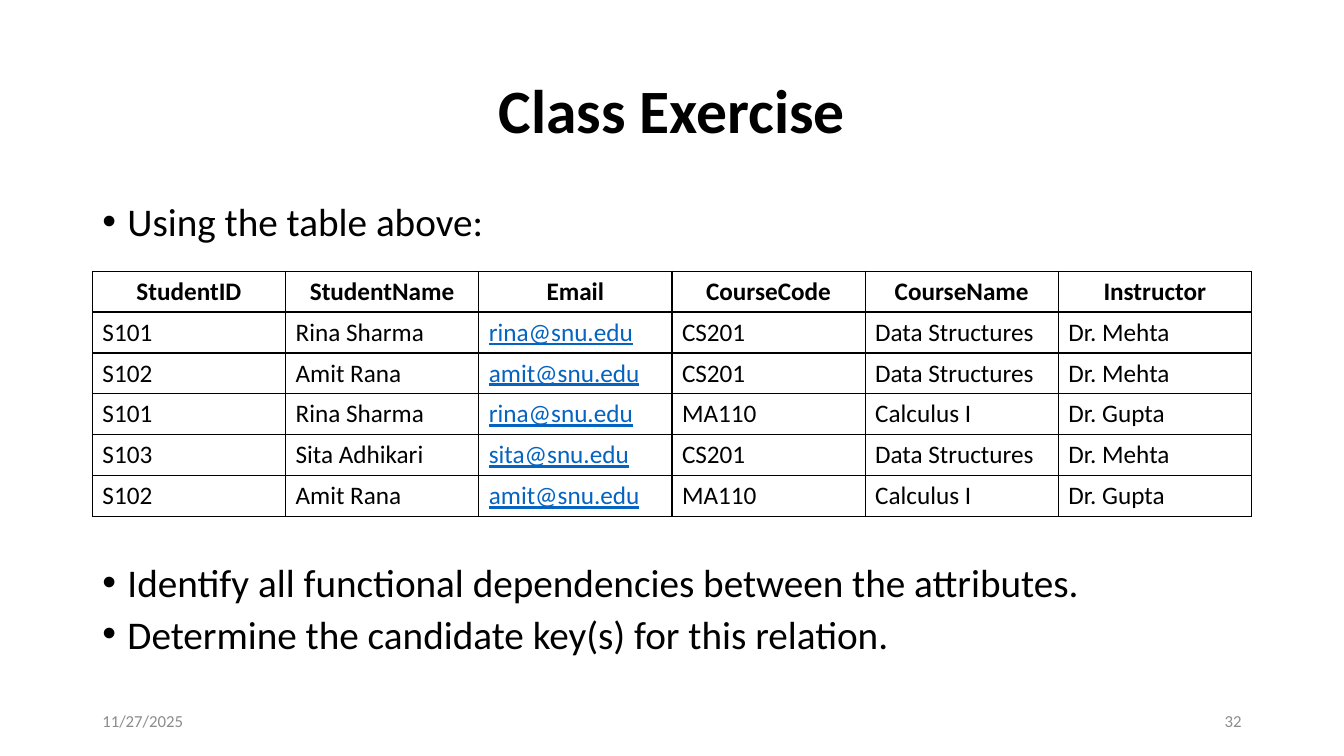
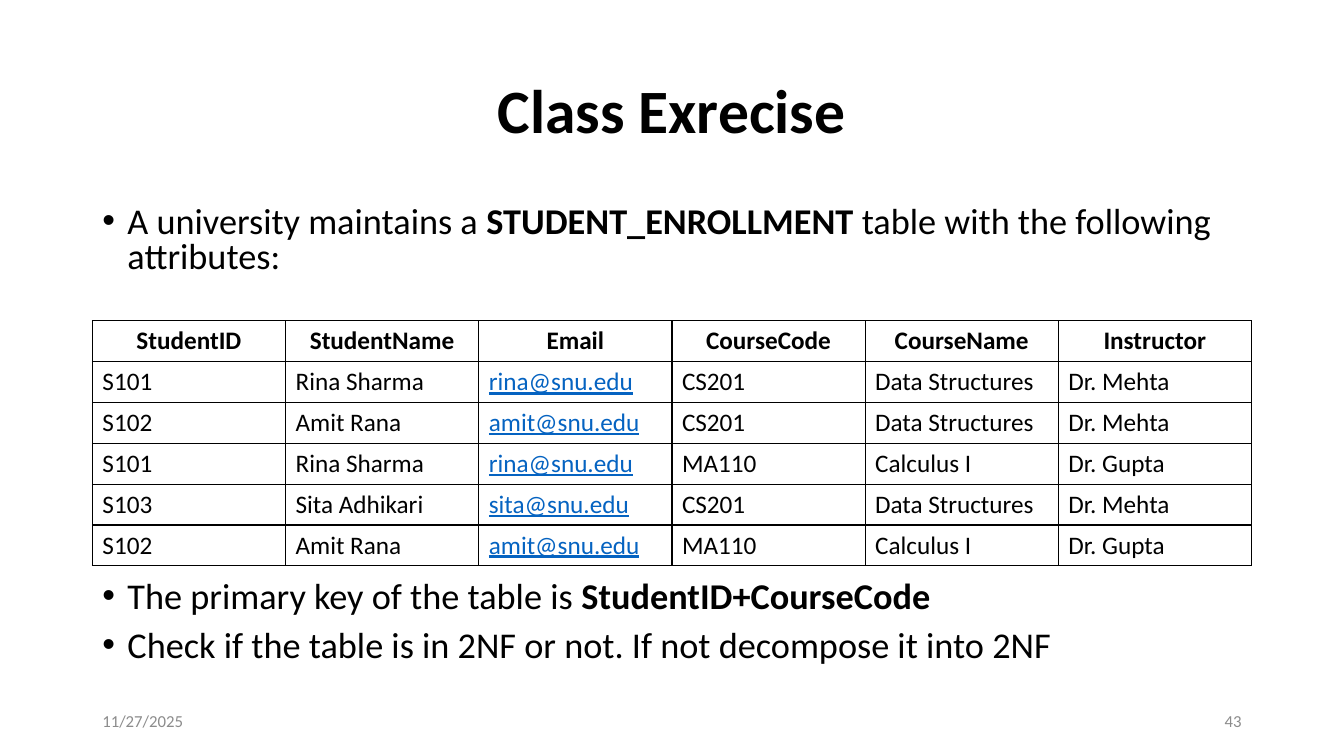
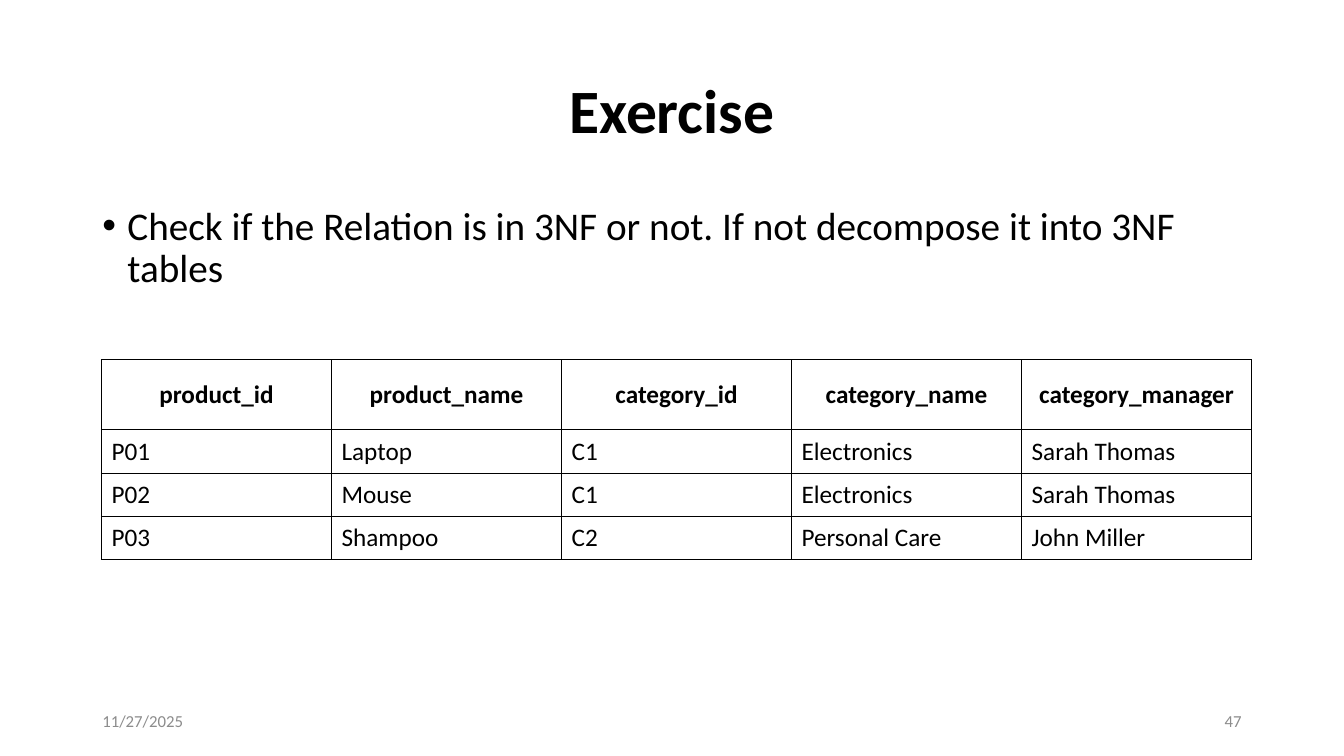
from dataclasses import dataclass

from lxml import etree
from pptx import Presentation
from pptx.dml.color import RGBColor
from pptx.enum.text import MSO_ANCHOR, PP_ALIGN
from pptx.oxml.ns import qn
from pptx.util import Pt

LEFT, CENTER, RIGHT = PP_ALIGN.LEFT, PP_ALIGN.CENTER, PP_ALIGN.RIGHT
TOP, MIDDLE = MSO_ANCHOR.TOP, MSO_ANCHOR.MIDDLE


@dataclass(frozen=True)
class Theme:
    font: str = "Calibri"
    ink: str = "000000"
    link: str = "0563C1"
    muted: str = "8C8C8C"
    title: float = 44
    body: float = 28
    body_small: float = 25.9
    cell: float = 18
    footer: float = 12
    bullet_gap: float = 10
    bullet_indent: float = 18
    border: float = 1
    margin: float = 66
    content_width: float = 828


class Deck:
    """Holds the style and the slide being built."""

    def __init__(self, theme):
        self.theme = theme
        self.prs = Presentation()
        self.prs.slide_width, self.prs.slide_height = Pt(960), Pt(540)
        self.slide = None

    def new_slide(self, title, number):
        theme = self.theme
        self.slide = self.prs.slides.add_slide(self.prs.slide_layouts[6])

        # Title
        heading = self.line(title, theme.margin, 28.8, theme.content_width, 104.4,
                            theme.title, theme.ink, CENTER, bold=True)
        heading.line_spacing = 0.9

        # Footer: date on the left, slide number on the right
        width = 216
        right = theme.margin + theme.content_width - width
        for text, left, align in (("11/27/2025", theme.margin, LEFT),
                                  (str(number), right, RIGHT)):
            self.line(text, left, 500.5, width, 28.8, theme.footer, theme.muted, align)

    def style(self, run, size, color, bold=False, underline=False):
        font = run.font
        font.name, font.size = self.theme.font, Pt(size)
        font.bold, font.underline = bold, underline
        font.color.rgb = RGBColor.from_string(color)

    def frame(self, left, top, width, height, anchor):
        box = self.slide.shapes.add_textbox(Pt(left), Pt(top), Pt(width), Pt(height))
        box.text_frame.word_wrap = True
        box.text_frame.vertical_anchor = anchor
        return box.text_frame

    def line(self, text, left, top, width, height, size, color, align, bold=False):
        frame = self.frame(left, top, width, height, MIDDLE)
        frame.text = text
        paragraph = frame.paragraphs[0]
        paragraph.alignment = align
        self.style(paragraph.runs[0], size, color, bold)
        return paragraph

    def bullets(self, items, size, spacing=0.8, table_gap=0):
        """Bulleted text; ** surrounds bold words, table_gap follows the first item."""
        theme = self.theme
        frame = self.frame(theme.margin, 144, theme.content_width, 342.6, TOP)
        gaps = [0, table_gap] + [theme.bullet_gap] * len(items)
        for index, (item, gap) in enumerate(zip(items, gaps)):
            paragraph = frame.add_paragraph() if index else frame.paragraphs[0]
            props = paragraph._p.get_or_add_pPr()
            props.set("marL", str(Pt(theme.bullet_indent)))
            props.set("indent", str(-Pt(theme.bullet_indent)))
            etree.SubElement(props, qn("a:buFont"), typeface="Arial")
            etree.SubElement(props, qn("a:buChar"), char="•")
            paragraph.line_spacing = spacing
            paragraph.space_before = Pt(gap)
            for part, text in enumerate(item.split("**")):
                if text:
                    run = paragraph.add_run()
                    run.text = text
                    self.style(run, size, theme.ink, bold=part % 2 == 1)

    def table(self, rows, left, top, width, heights):
        theme = self.theme
        grid = self.slide.shapes.add_table(
            len(rows), len(rows[0]), Pt(left), Pt(top), Pt(width), Pt(sum(heights))).table
        grid.first_row = grid.horz_banding = False
        for column in grid.columns:
            column.width = Pt(width / len(rows[0]))
        for r, (values, height) in enumerate(zip(rows, heights)):
            grid.rows[r].height = Pt(height)
            for c, value in enumerate(values):
                cell = grid.cell(r, c)
                header, email = r == 0, "@" in value
                cell.text = value
                cell.vertical_anchor = MIDDLE
                paragraph = cell.text_frame.paragraphs[0]
                paragraph.alignment = CENTER if header else LEFT
                self.style(paragraph.runs[0], theme.cell,
                           theme.link if email else theme.ink, header, email)
                self.outline(cell)
                cell.fill.background()

    def outline(self, cell):
        props = cell._tc.get_or_add_tcPr()
        for side in ("a:lnL", "a:lnR", "a:lnT", "a:lnB"):
            edge = etree.SubElement(props, qn(side), w=str(Pt(self.theme.border)))
            fill = etree.SubElement(edge, qn("a:solidFill"))
            etree.SubElement(fill, qn("a:srgbClr"), val=self.theme.ink)


ENROLLMENT = [
    ("StudentID", "StudentName", "Email", "CourseCode", "CourseName", "Instructor"),
    ("S101", "Rina Sharma", "rina@snu.edu", "CS201", "Data Structures", "Dr. Mehta"),
    ("S102", "Amit Rana", "amit@snu.edu", "CS201", "Data Structures", "Dr. Mehta"),
    ("S101", "Rina Sharma", "rina@snu.edu", "MA110", "Calculus I", "Dr. Gupta"),
    ("S103", "Sita Adhikari", "sita@snu.edu", "CS201", "Data Structures", "Dr. Mehta"),
    ("S102", "Amit Rana", "amit@snu.edu", "MA110", "Calculus I", "Dr. Gupta"),
]
PRODUCTS = [
    ("product_id", "product_name", "category_id", "category_name", "category_manager"),
    ("P01", "Laptop", "C1", "Electronics", "Sarah Thomas"),
    ("P02", "Mouse", "C1", "Electronics", "Sarah Thomas"),
    ("P03", "Shampoo", "C2", "Personal Care", "John Miller"),
]


def main():
    theme = Theme()
    deck = Deck(theme)
    enrollment_heights = [29.2] * len(ENROLLMENT)

    # Functional dependencies and candidate keys
    deck.new_slide("Class Exercise", 32)
    deck.bullets(["Using the table above:",
                  "Identify all functional dependencies between the attributes.",
                  "Determine the candidate key(s) for this relation."],
                 theme.body, table_gap=231)
    deck.table(ENROLLMENT, theme.margin, 193.7, theme.content_width, enrollment_heights)

    # Second normal form
    deck.new_slide("Class Exrecise", 43)
    deck.bullets(["A university maintains a **STUDENT_ENROLLMENT** table "
                  "with the following attributes:",
                  "The primary key of the table is **StudentID+CourseCode**",
                  "Check if the table is in 2NF or not. If not decompose it into 2NF"],
                 theme.body_small, table_gap=218.5)
    deck.table(ENROLLMENT, theme.margin, 229, theme.content_width, enrollment_heights)

    # Third normal form
    deck.new_slide("Exercise", 47)
    deck.bullets(["Check if the Relation is in 3NF or not. "
                  "If not decompose it into 3NF tables"], theme.body, spacing=0.9)
    deck.table(PRODUCTS, 72.5, 257, 821.5, [50, 31, 31, 31])

    deck.prs.save("out.pptx")


if __name__ == "__main__":
    main()
